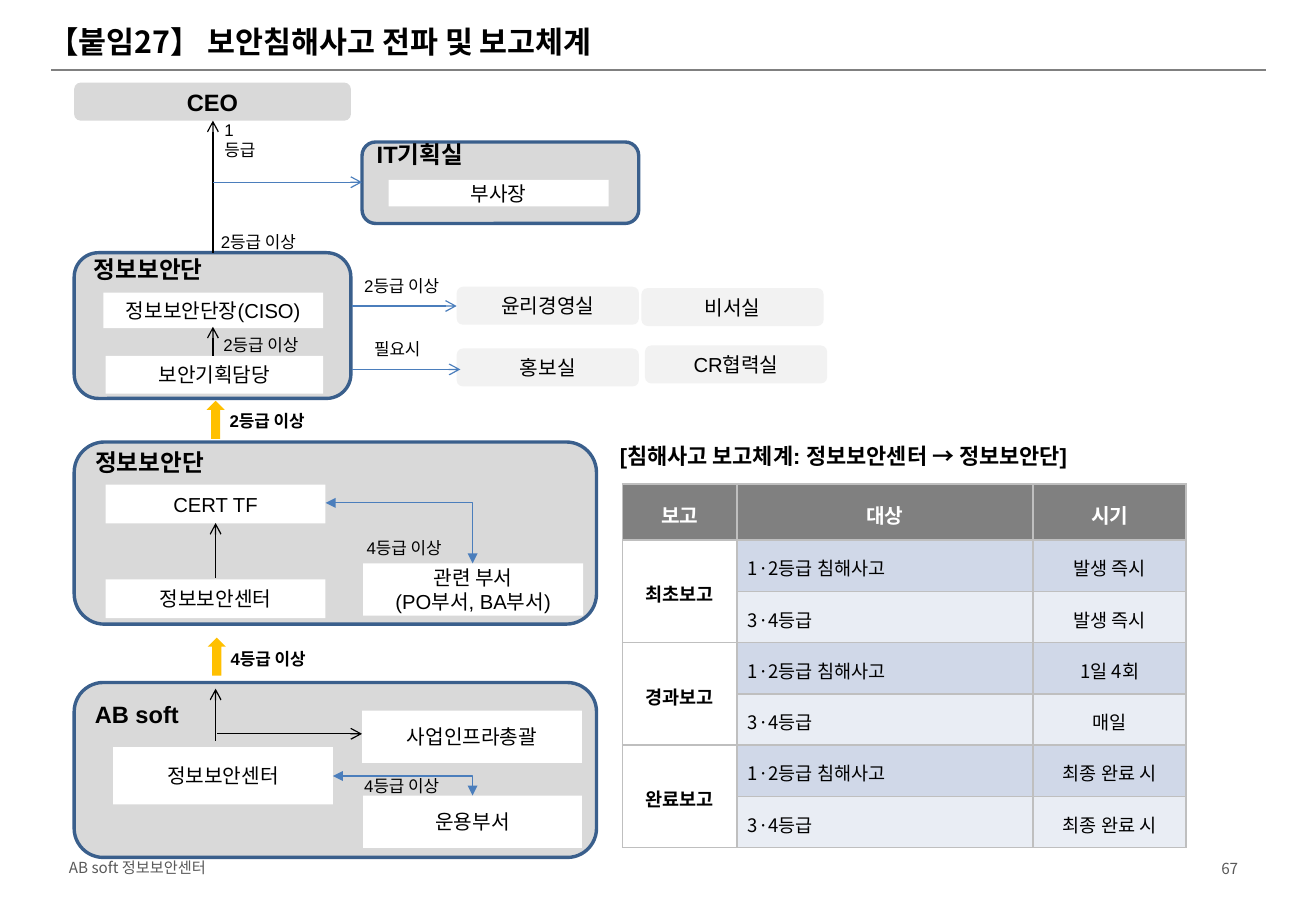
from dataclasses import dataclass
from lxml.etree import SubElement
from pptx import Presentation
from pptx.dml.color import RGBColor
from pptx.enum.shapes import MSO_CONNECTOR, MSO_SHAPE
from pptx.enum.text import MSO_ANCHOR, PP_ALIGN
from pptx.oxml.ns import qn
from pptx.util import Pt


@dataclass(frozen=True)
class Theme:
    ink: str = "000000"
    white: str = "FFFFFF"
    panel: str = "D9D9D9"
    edge: str = "3A5F8C"
    chip: str = "F2F2F2"
    flow: str = "4B7EBC"
    gold: str = "FFC000"
    gray: str = "808080"
    note: str = "595959"
    odd: str = "D0D8E8"
    even: str = "E9EDF4"
    grid: str = "BFBFBF"
    sans: str = "Arial"
    hangul: str = "Noto Sans CJK KR"
    title: int = 18
    head: int = 14
    sub: int = 13
    body: int = 12
    cell: int = 11
    label: int = 10
    foot: int = 9


T = Theme()
LEFT, MID, RIGHT = PP_ALIGN.LEFT, PP_ALIGN.CENTER, PP_ALIGN.RIGHT
deck = Presentation()
deck.slide_width, deck.slide_height = Pt(780), Pt(540)
slide = deck.slides.add_slide(deck.slide_layouts[6])
shapes = slide.shapes


def put(frame, text, size, bold=False, color=T.ink, face=T.sans, align=MID):
    frame.text = text
    frame.word_wrap = True
    for para in frame.paragraphs:
        para.alignment = align
        font = para.font
        font.size, font.bold, font.name = Pt(size), bold, face
        font.color.rgb = RGBColor.from_string(color)
        SubElement(font._rPr, qn("a:ea"), typeface=T.hangul)


def box(kind, place, fill, text="", size=T.body, bold=False, edge=None):
    shape = shapes.add_shape(kind, *map(Pt, place))
    shape.shadow.inherit = False
    shape.fill.solid()
    shape.fill.fore_color.rgb = RGBColor.from_string(fill)
    if edge:
        shape.line.color.rgb = RGBColor.from_string(edge)
        shape.line.width = Pt(2)
    else:
        shape.line.fill.background()
    if text:
        frame = shape.text_frame
        frame.margin_top = frame.margin_bottom = 0
        frame.vertical_anchor = MSO_ANCHOR.MIDDLE
        put(frame, text, size, bold)


# Panels
ROUND, RECT = MSO_SHAPE.ROUNDED_RECTANGLE, MSO_SHAPE.RECTANGLE
box(ROUND, (44, 49, 164, 22.5), T.panel, "CEO", T.head, True)
for place in [(44, 149.8, 164, 86.4), (44, 262, 309.6, 108),
              (44, 404.6, 309.6, 103.7), (214.6, 84.2, 164, 48.3)]:
    box(ROUND, place, T.panel, edge=T.edge)

# Units inside the panels
for x, y, w, h, text in [
    (61.2, 173.5, 130.3, 21, "정보보안단장(CISO)"),
    (62.6, 211, 129, 22.3, "보안기획담당"),
    (62.6, 287.3, 130.3, 23, "CERT TF"),
    (62.6, 343.4, 130.3, 23, "정보보안센터"),
    (215.3, 334, 130.3, 31, "관련 부서\n(PO부서, BA부서)"),
    (67, 442.8, 130.3, 34, "정보보안센터"),
    (214.6, 421.2, 130.3, 31, "사업인프라총괄"),
    (215.3, 471.6, 129.6, 31, "운용부서"),
    (230.4, 106.6, 130.3, 15.8, "부사장"),
]:
    box(RECT, (x, y, w, h), T.white, text)

# Units to be informed
for x, y, text in [(270.7, 170, "윤리경영실"), (270.7, 206.6, "홍보실"),
                   (382.3, 204.8, "CR협력실"), (380.2, 170.8, "비서실")]:
    box(ROUND, (x, y, 108, 22.5), T.chip, text)

# Block arrows between panels
for x, y in [(122.4, 237.6), (123.1, 378)]:
    box(MSO_SHAPE.UP_ARROW, (x, y, 10.8, 22.5), T.gold)

# Lines and arrows
STRAIGHT, BENT = MSO_CONNECTOR.STRAIGHT, MSO_CONNECTOR.ELBOW
for kind, ends, color in [
    (STRAIGHT, (30.4, 41.6, 750.4, 41.6), T.gray),
    (STRAIGHT, (126.2, 211, 126.2, 193.7), T.ink),
    (STRAIGHT, (126.2, 149.8, 126.2, 71.5), T.ink),
    (STRAIGHT, (127.8, 342.7, 127.8, 310), T.ink),
    (STRAIGHT, (127.8, 439.2, 127.8, 408.2), T.ink),
    (STRAIGHT, (128.9, 435, 214.6, 435), T.ink),
    (STRAIGHT, (126.2, 108, 214.6, 108), T.flow),
    (STRAIGHT, (208.8, 181.4, 270.7, 181.4), T.flow),
    (STRAIGHT, (208.8, 219, 272.9, 219), T.flow),
    (BENT, (193, 298.1, 280.1, 334), T.flow),
    (BENT, (197.3, 460, 280.1, 471.6), T.flow),
]:
    line = shapes.add_connector(kind, *map(Pt, ends))
    line.line.color.rgb = RGBColor.from_string(color)
    line.line.width = Pt(1 if color == T.gray else 0.75)
    props = line._element.spPr
    SubElement(props, qn("a:effectLst"))
    stroke = line.line._get_or_add_ln()
    if kind == BENT:
        props.find(qn("a:prstGeom")).set("prst", "bentConnector2")
        SubElement(stroke, qn("a:headEnd"), type="triangle")
        SubElement(stroke, qn("a:tailEnd"), type="triangle")
    elif color != T.gray:
        SubElement(stroke, qn("a:tailEnd"), type="arrow")

# Title, headings, labels and footer
for x, y, w, h, text, size, bold, color, face, align in [
    (21.6, 11.5, 547, 26, "【붙임27】 보안침해사고 전파 및 보고체계",
     T.title, True, T.ink, T.hangul, LEFT),
    (33.8, 504.5, 201.6, 19, "AB soft 정보보안센터",
     T.foot, False, T.note, T.hangul, LEFT),
    (558.7, 500.4, 182.2, 28.8, "67", T.foot, False, T.note, T.hangul, RIGHT),
    (360.4, 257, 340, 26, "[침해사고 보고체계: 정보보안센터 → 정보보안단]",
     T.sub, True, T.ink, T.sans, LEFT),
    *[(x, y, 140, 26, text, T.head, True, T.ink, T.sans, LEFT)
      for x, y, text in [(48.5, 146.4, "정보보안단"), (49.3, 260.8, "정보보안단"),
                         (49.1, 410.1, "AB soft"), (216.2, 78.4, "IT기획실")]],
    *[(x, y, w, 19.4, text, T.label, bold, T.ink, T.sans, LEFT)
      for x, y, w, text, bold in [
          (125.3, 195, 72, "2등급 이상", False), (126, 67.4, 36, "1등급", False),
          (208.8, 160, 72, "2등급 이상", False), (129, 240, 80, "2등급 이상", True),
          (214.6, 197.3, 60, "필요시", False), (210.2, 315.4, 72, "4등급 이상", False),
          (129.6, 381, 80, "4등급 이상", True), (208.8, 456, 72, "4등급 이상", False),
          (123.8, 134, 72, "2등급 이상", False)]],
]:
    frame = shapes.add_textbox(Pt(x), Pt(y), Pt(w), Pt(h)).text_frame
    put(frame, text, size, bold, color, face, align)
    frame.vertical_anchor = MSO_ANCHOR.TOP if size == T.label else MSO_ANCHOR.MIDDLE

# Report table
minor, major = "3·4등급", "1·2등급 침해사고"
rows = [("보고", "대상", "시기"),
        ("최초보고", major, "발생 즉시"), ("", minor, "발생 즉시"),
        ("경과보고", major, "1일 4회"), ("", minor, "매일"),
        ("완료보고", major, "최종 완료 시"), ("", minor, "최종 완료 시")]
table = shapes.add_table(7, 3, Pt(369), Pt(287), Pt(334.1), Pt(215.5)).table
for col, width in zip(table.columns, (67.7, 175.7, 90.7)):
    col.width = Pt(width)
for i, row in enumerate(rows):
    table.rows[i].height = Pt(30.4 if i else 33.1)
    for j, text in enumerate(row):
        cell = table.cell(i, j)
        if i == 0:
            fill = T.gray
        elif j == 0:
            fill = T.white
        else:
            fill = T.odd if i % 2 else T.even
        cell.fill.solid()
        cell.fill.fore_color.rgb = RGBColor.from_string(fill)
        cell.margin_left = cell.margin_right = Pt(6.5 if j == 1 else 5)
        cell.margin_top = cell.margin_bottom = 0
        cell.vertical_anchor = MSO_ANCHOR.MIDDLE
        if text:
            put(cell.text_frame, text, T.cell if i else T.body, i == 0 or j == 0,
                T.ink if i else T.white, T.hangul, LEFT if i and j == 1 else MID)
            cell.text_frame.paragraphs[0].line_spacing = 1.15
        props = cell._tc.get_or_add_tcPr()
        for k, side in enumerate("LRTB"):
            rule = SubElement(props, qn(f"a:ln{side}"), w=str(Pt(1)))
            SubElement(SubElement(rule, qn("a:solidFill")), qn("a:srgbClr"), val=T.grid)
            props.insert(k, rule)
for i in (1, 3, 5):
    table.cell(i, 0).merge(table.cell(i + 1, 0))

deck.save("out.pptx")
